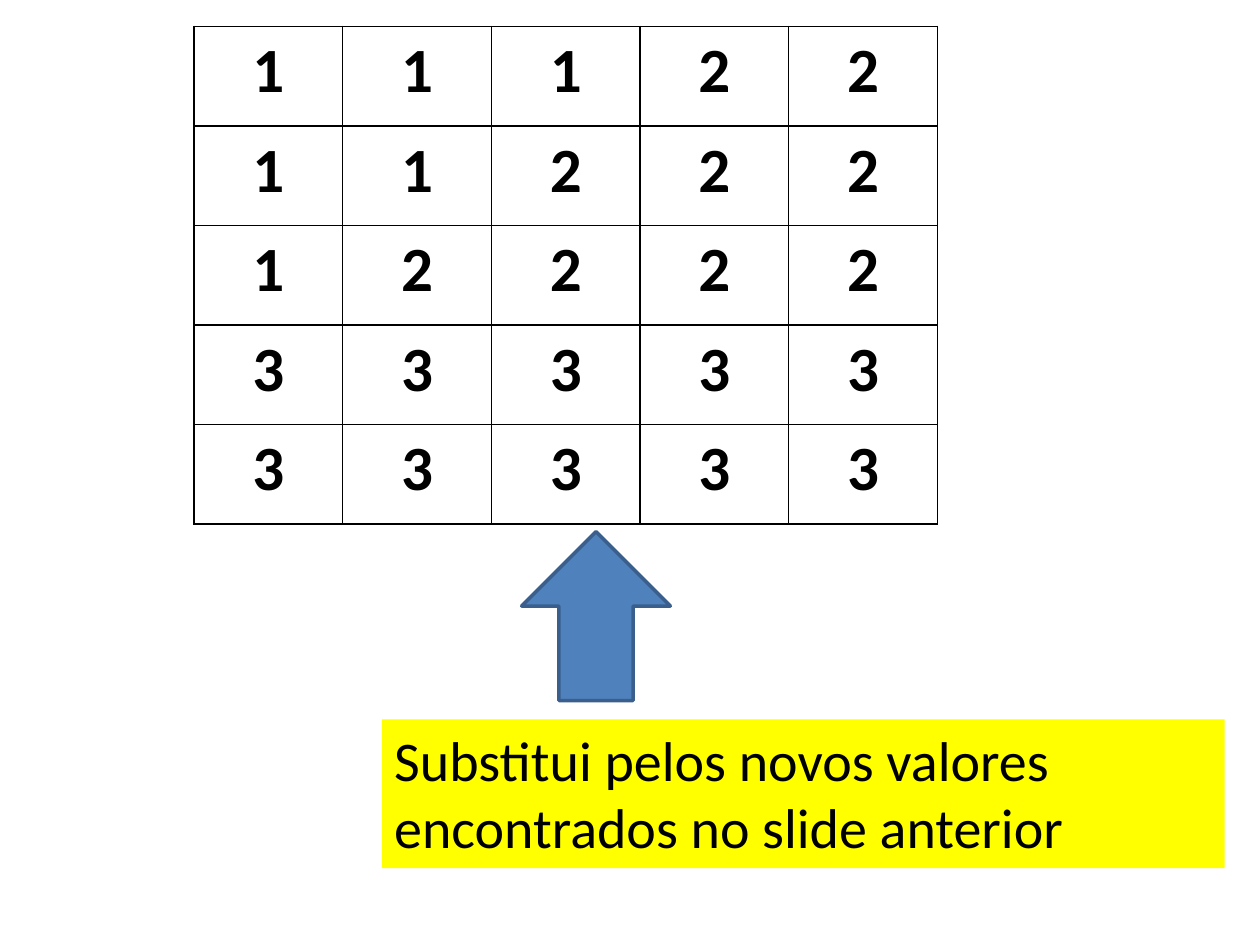
import pptx
import pptx.dml.color
import pptx.enum.shapes
import pptx.enum.text
import pptx.util
import lxml.etree
import pptx.oxml.ns

BLACK = pptx.dml.color.RGBColor(0x00, 0x00, 0x00)
BLUE = pptx.dml.color.RGBColor(0x4F, 0x81, 0xBD)
DARK_BLUE = pptx.dml.color.RGBColor(0x3A, 0x5F, 0x8C)
YELLOW = pptx.dml.color.RGBColor(0xFF, 0xFF, 0x00)
FONT = "Calibri"
COLUMN = pptx.util.Inches(1.18)
ROW = pptx.util.Inches(0.79)
VALUES = ["11122", "11222", "12222", "33333", "33333"]


def style_text(paragraph, size, bold=False):
    paragraph.font.name = FONT
    paragraph.font.size = pptx.util.Pt(size)
    paragraph.font.bold = bold
    paragraph.font.color.rgb = BLACK


def add_borders(cell):
    """Draw a thin black line on all four sides of a table cell."""
    properties = cell._tc.get_or_add_tcPr()
    for position, side in enumerate(("lnL", "lnR", "lnT", "lnB")):
        line = lxml.etree.Element(pptx.oxml.ns.qn(f"a:{side}"), w=str(pptx.util.Pt(1)))
        fill = lxml.etree.SubElement(line, pptx.oxml.ns.qn("a:solidFill"))
        lxml.etree.SubElement(fill, pptx.oxml.ns.qn("a:srgbClr"), val=str(BLACK))
        properties.insert(position, line)


presentation = pptx.Presentation()
presentation.slide_width = pptx.util.Inches(10)
presentation.slide_height = pptx.util.Inches(7.5)
slide = presentation.slides.add_slide(presentation.slide_layouts[6])

# Matrix of class values
row_count, column_count = len(VALUES), len(VALUES[0])
matrix = slide.shapes.add_table(
    row_count, column_count, pptx.util.Inches(1.54), pptx.util.Inches(0.21),
    column_count * COLUMN, row_count * ROW).table
matrix.first_row = False
matrix.horz_banding = False
for row_index, row_values in enumerate(VALUES):
    for column_index, value in enumerate(row_values):
        cell = matrix.cell(row_index, column_index)
        cell.text = value
        cell.fill.background()
        paragraph = cell.text_frame.paragraphs[0]
        paragraph.alignment = pptx.enum.text.PP_ALIGN.CENTER
        style_text(paragraph, 36, bold=True)
        add_borders(cell)

# Arrow pointing up at the matrix
arrow = slide.shapes.add_shape(
    pptx.enum.shapes.MSO_SHAPE.RIGHT_ARROW,
    pptx.util.Inches(4.06), pptx.util.Inches(4.3), pptx.util.Inches(1.34), COLUMN)
arrow.rotation = 270
arrow.shadow.inherit = False
arrow.fill.solid()
arrow.fill.fore_color.rgb = BLUE
arrow.line.color.rgb = DARK_BLUE
arrow.line.width = pptx.util.Pt(2)

# Explanation
note = slide.shapes.add_textbox(
    pptx.util.Inches(3.03), pptx.util.Inches(5.71), pptx.util.Inches(6.69), COLUMN)
note.fill.solid()
note.fill.fore_color.rgb = YELLOW
note.text_frame.word_wrap = True
note.text_frame.auto_size = pptx.enum.text.MSO_AUTO_SIZE.SHAPE_TO_FIT_TEXT
note.text_frame.text = "Substitui pelos novos valores encontrados no slide anterior"
style_text(note.text_frame.paragraphs[0], 32)

presentation.save("out.pptx")
